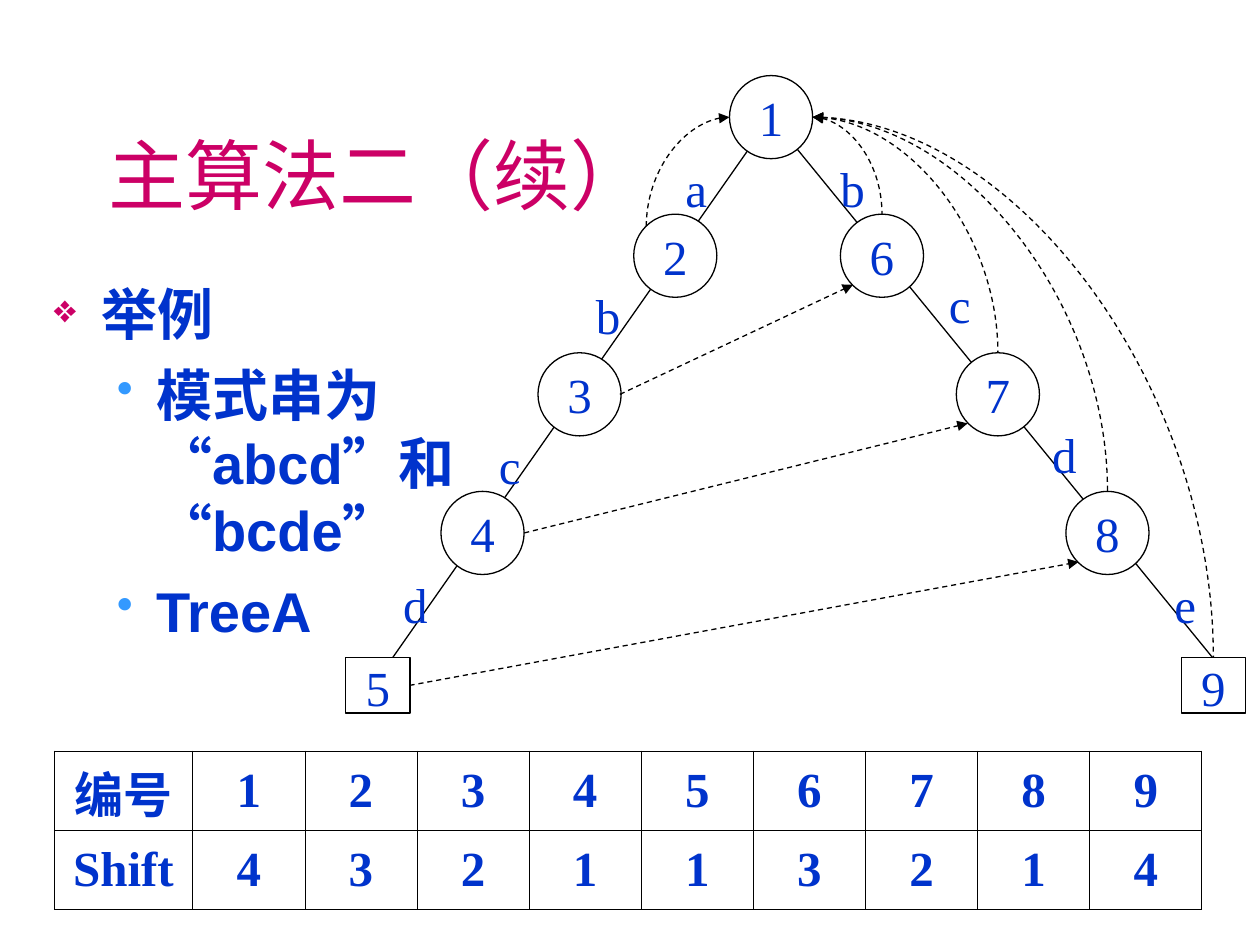
from lxml import etree
from pptx import Presentation
from pptx.dml.color import RGBColor
from pptx.enum.dml import MSO_LINE
from pptx.enum.shapes import MSO_CONNECTOR as CONN, MSO_SHAPE as SHAPE
from pptx.enum.text import MSO_ANCHOR as ANCHOR, PP_ALIGN as ALIGN
from pptx.oxml.ns import qn
from pptx.util import Inches, Pt

BLUE, PINK, SKY = "0033CC", "CC0066", "3399FF"
BLACK, WHITE = "000000", "FFFFFF"
SERIF = "Times New Roman"


def write(tf, text, size=28, font=SERIF, color=BLUE, bold=False,
          align=ALIGN.CENTER, anchor=ANCHOR.TOP, margins=(0, 0)):
    tf.word_wrap = True
    tf.vertical_anchor = anchor
    tf.margin_left = tf.margin_right = Inches(margins[0])
    tf.margin_top = tf.margin_bottom = Inches(margins[1])
    for i, line in enumerate(text.split("\n")):
        p = tf.paragraphs[0] if i == 0 else tf.add_paragraph()
        p.text = line
        p.alignment = align
        for r in p.runs:
            r.font.size, r.font.name, r.font.bold = Pt(size), font, bold
            r.font.color.rgb = RGBColor.from_string(color)
            r._r.get_or_add_rPr().set("lang", "zh-CN")


def connect(x1, y1, x2, y2, kind=CONN.STRAIGHT, arrow=None):
    c = s.shapes.add_connector(kind, *map(Inches, (x1, y1, x2, y2)))
    c.line.color.rgb = RGBColor.from_string(BLACK)
    c.line.width = Pt(0.75)
    spPr = c._element.spPr
    if kind == CONN.CURVE:
        spPr.find(qn("a:prstGeom")).set("prst", "curvedConnector2")
    if arrow:
        c.line.dash_style = MSO_LINE.DASH
        etree.SubElement(c.line._get_or_add_ln(), qn(arrow), type="triangle")
    etree.SubElement(spPr, qn("a:effectLst"))


prs = Presentation()
prs.slide_width, prs.slide_height = Inches(10), Inches(7.5)
s = prs.slides.add_slide(prs.slide_layouts[5])

# Title
title = s.shapes.title
title.left, title.top, title.width, title.height = map(Inches, (0.27, 0.75, 5.46, 1.25))
write(title.text_frame, "主算法二（续）", size=44, font="Arial", color=PINK,
      anchor=ANCHOR.MIDDLE, margins=(0.1, 0.05))

# Bulleted text
tf = s.shapes.add_textbox(*map(Inches, (0.33, 2.17, 4.59, 4.25))).text_frame
write(tf, "举例\n模式串为\v“abcd”和\v“bcde”\nTreeA", size=32, font="Arial",
      bold=True, align=ALIGN.LEFT, margins=(0.1, 0.05))
bullets = [("❖", PINK, 70, 0.38, 0.38)] + [("•", SKY, 85, 0.81, 0.31)] * 2
for p, (char, color, percent, left, hang) in zip(tf.paragraphs, bullets):
    p.space_before = Pt(8)
    pPr = p._p.get_or_add_pPr()
    pPr.set("marL", str(Inches(left)))
    pPr.set("indent", str(-Inches(hang)))
    etree.SubElement(etree.SubElement(pPr, qn("a:buClr")), qn("a:srgbClr"), val=color)
    etree.SubElement(pPr, qn("a:buSzPct"), val=str(percent * 1000))
    etree.SubElement(pPr, qn("a:buChar"), char=char)

# Tree edges, one line per pattern
root_x, root_y, row_gap, d = 6.12, 0.93, 1.1, 0.66
connect(root_x, root_y, 3.06, 5.3)
connect(root_x, root_y, 9.69, 5.3)

# Edge labels
labels = [("a", 5.44, 1.26), ("b", 4.73, 2.27), ("c", 3.96, 3.46), ("d", 3.2, 4.56),
          ("b", 6.67, 1.26), ("c", 7.53, 2.18), ("d", 8.35, 3.37), ("e", 9.32, 4.56)]
for text, x, y in labels:
    tb = s.shapes.add_textbox(*map(Inches, (x, y, 0.31, 0.53)))
    write(tb.text_frame, text, align=ALIGN.JUSTIFY)

# Nodes: number, centre x, depth; the leaves are boxes
nodes = [(1, root_x, 0), (2, 5.36, 1), (3, 4.6, 2), (4, 3.83, 3), (5, 3.0, 4),
         (6, 7.0, 1), (7, 7.92, 2), (8, 8.79, 3), (9, 9.63, 4)]
for number, x, depth in nodes:
    if depth == 4:
        kind, y, w, h = SHAPE.RECTANGLE, 5.44, 0.51, 0.44
    else:
        kind, y, w, h = SHAPE.OVAL, root_y + depth * row_gap, d, d
    sp = s.shapes.add_shape(kind, *map(Inches, (x - w / 2, y - h / 2, w, h)))
    sp.shadow.inherit = False
    sp.fill.solid()
    sp.fill.fore_color.rgb = RGBColor.from_string(WHITE)
    sp.line.color.rgb = RGBColor.from_string(BLACK)
    sp.line.width = Pt(0.75)
    write(sp.text_frame, str(number))

# Failure links back to the root
connect(root_x - d / 2, root_y, 5.13, 1.8, CONN.CURVE, "a:headEnd")
for x, y in [(7.0, 1.7), (7.92, 2.8), (8.79, 3.9), (9.63, 5.22)]:
    connect(root_x + d / 2, root_y, x, y, CONN.CURVE, "a:headEnd")

# Failure links across to the other branch
for ends in [(4.92, 3.13, 6.77, 2.26), (4.16, 4.23, 7.68, 3.36), (3.25, 5.44, 8.56, 4.46)]:
    connect(*ends, arrow="a:tailEnd")

# Shift table
rows = [["编号", *"123456789"], ["Shift", *"432113214"]]
table = s.shapes.add_table(2, 10, *map(Inches, (0.43, 5.96, 9.13, 1.26))).table
table.first_row = table.horz_banding = False
for i, col in enumerate(table.columns):
    col.width = Inches(0.89 if i else 1.1)
for i, row in enumerate(rows):
    for j, text in enumerate(row):
        cell = table.cell(i, j)
        write(cell.text_frame, text, bold=True)
        cell.vertical_anchor = ANCHOR.MIDDLE
        cell.margin_left = cell.margin_right = Inches(0.1)
        cell.margin_top = cell.margin_bottom = Inches(0.05)
        tcPr = cell._tc.get_or_add_tcPr()
        for side in ("a:lnL", "a:lnR", "a:lnT", "a:lnB"):
            ln = etree.SubElement(tcPr, qn(side), w=str(Pt(0.45)))
            fill = etree.SubElement(ln, qn("a:solidFill"))
            etree.SubElement(fill, qn("a:srgbClr"), val=BLACK)
        cell.fill.background()

prs.save("out.pptx")
